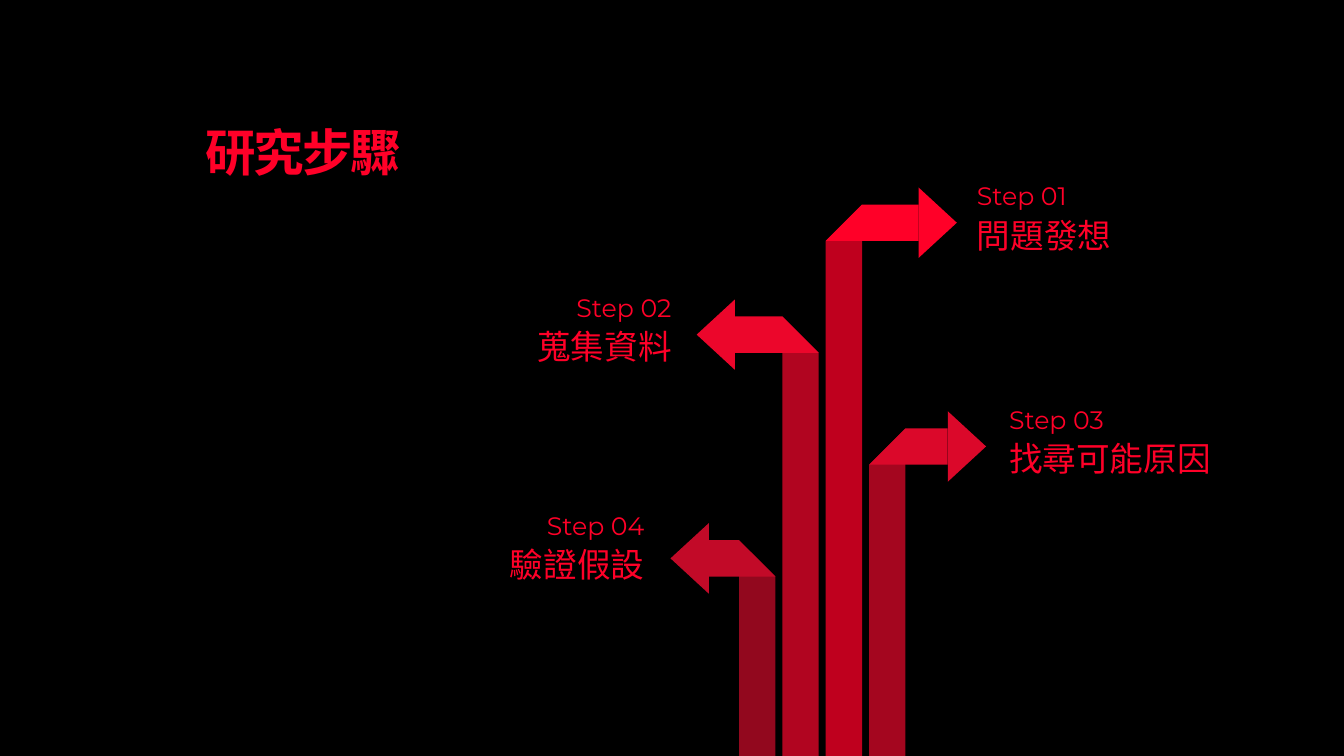
"""Build the research steps slide: four folded arrows rising from the bottom edge."""
from dataclasses import dataclass
from pptx import Presentation
from pptx.dml.color import RGBColor as RGB
from pptx.enum.text import MSO_AUTO_SIZE as Fit, PP_ALIGN as Align
from pptx.util import Inches, Pt


@dataclass(frozen=True)
class Theme:
    back: str = "000000"
    ink: str = "FF0028"
    head: str = "Montserrat"
    body: str = "Open Sans"
    title: int = 36
    label: int = 18
    text: int = 24


TITLE = "研究步驟"
# label, text, column, side, tip, text edge, text top, arrow colour, stem colour
STEPS = [
    ("Step 01", "問題發想", 2, 1, 9.49, 9.59, 1.74, "FF0028", "BF001E"),
    ("Step 02", "蒐集資料", 1, -1, 6.91, 6.76, 2.85, "EC062B", "B10520"),
    ("Step 03", "找尋可能原因", 3, 1, 9.78, 9.91, 3.96, "DB082A", "A4061F"),
    ("Step 04", "驗證假設", 0, -1, 6.65, 6.49, 5.01, "C20A28", "92081E"),
]
WIDE, HIGH = 13.33, 7.5
LEFT, PITCH, BAND = 7.33, 0.43, 0.36
TOP, ROW = 2.03, 1.11
BARB, WING = 0.38, 0.17
BOX_W, BOX_H = 2.73, 0.85

theme = Theme()
deck = Presentation()
deck.slide_width, deck.slide_height = Inches(WIDE), Inches(HIGH)
slide = deck.slides.add_slide(deck.slide_layouts[6])
slide.background.fill.solid()
slide.background.fill.fore_color.rgb = RGB.from_string(theme.back)


def draw(points, color):
    spots = [(Inches(x), Inches(y)) for x, y in points]
    pen = slide.shapes.build_freeform(*spots[0])
    pen.add_line_segments(spots[1:], close=True)
    shape = pen.convert_to_shape()
    shape.shadow.inherit = False
    shape.fill.solid()
    shape.fill.fore_color.rgb = RGB.from_string(color)
    shape.line.fill.background()


def add_box(x, y, w, h):
    box = slide.shapes.add_textbox(Inches(x), Inches(y), Inches(w), Inches(h))
    box.text_frame.word_wrap = True
    return box.text_frame


def style(para, face, size, lang="zh-TW"):
    run = para.runs[0]
    run.font.name, run.font.size = face, Pt(size)
    run.font.color.rgb = RGB.from_string(theme.ink)
    run._r.get_or_add_rPr().set("lang", lang)


for row, (label, text, col, side, tip, edge, top, color, shade) in enumerate(STEPS):
    x, y = LEFT + col * PITCH, TOP + row * ROW
    near, far = (x, x + BAND) if side > 0 else (x + BAND, x)
    neck, low = tip - side * BARB, y + BAND
    draw([(far, y), (far, HIGH), (near, HIGH), (near, low)], shade)
    draw([(near, low), (far, y), (neck, y), (neck, low)], color)
    draw([(neck, y - WING), (tip, y + BAND / 2), (neck, low + WING)], color)

    frame = add_box(edge if side > 0 else edge - BOX_W, top, BOX_W, BOX_H)
    frame.auto_size = Fit.SHAPE_TO_FIT_TEXT
    frame.text = f"{label}\n{text}"
    for para in frame.paragraphs:
        para.alignment = Align.LEFT if side > 0 else Align.RIGHT
        para.space_before = Pt(6)
    first, last = frame.paragraphs
    last.line_spacing = 0.9
    style(first, theme.head, theme.label, "en-US")
    style(last, theme.body, theme.text)

frame = add_box(2.04, 1.11, 4.62, 1.77)
frame.margin_left = frame.margin_right = frame.margin_bottom = 0
frame.margin_top = Inches(0.21)
frame.text = TITLE
para = frame.paragraphs[0]
para.line_spacing = 0.8
style(para, theme.head, theme.title)
para.runs[0].font.bold = True
para.runs[0]._r.get_or_add_rPr().set("spc", "-150")

deck.save("out.pptx")
